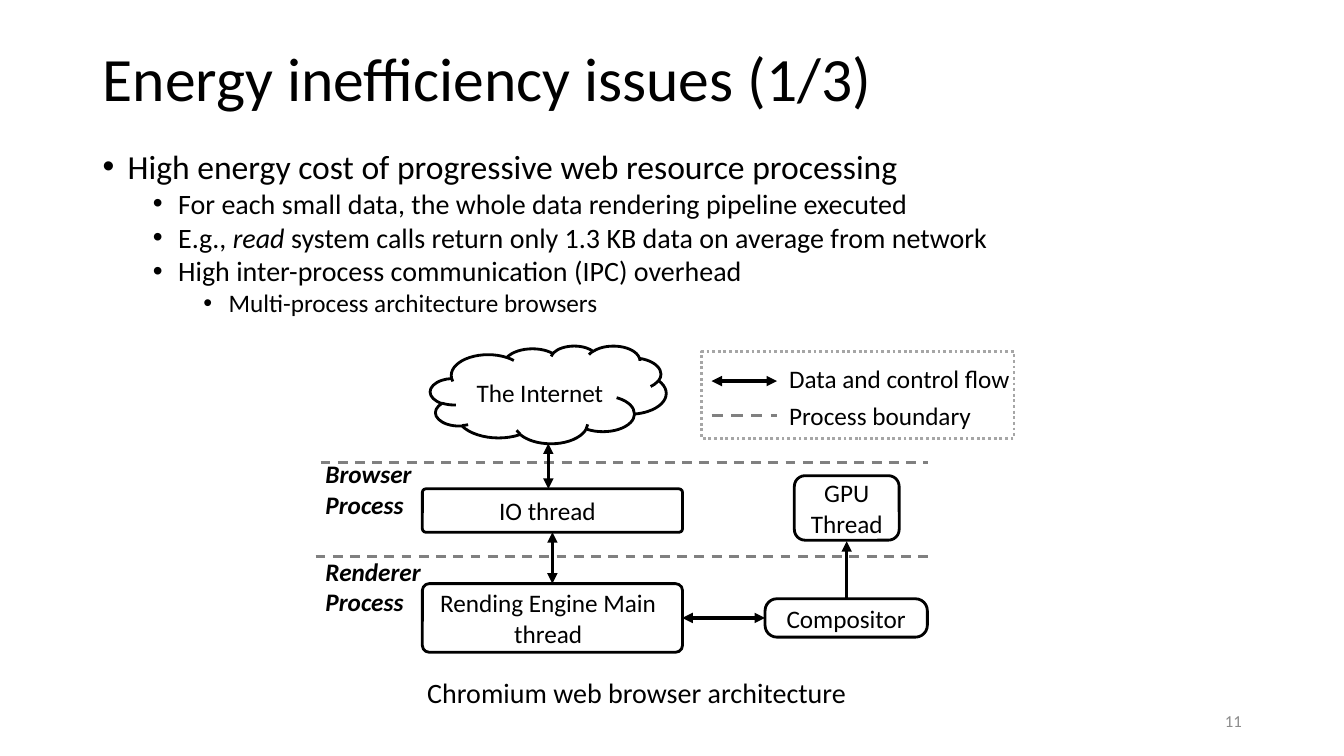
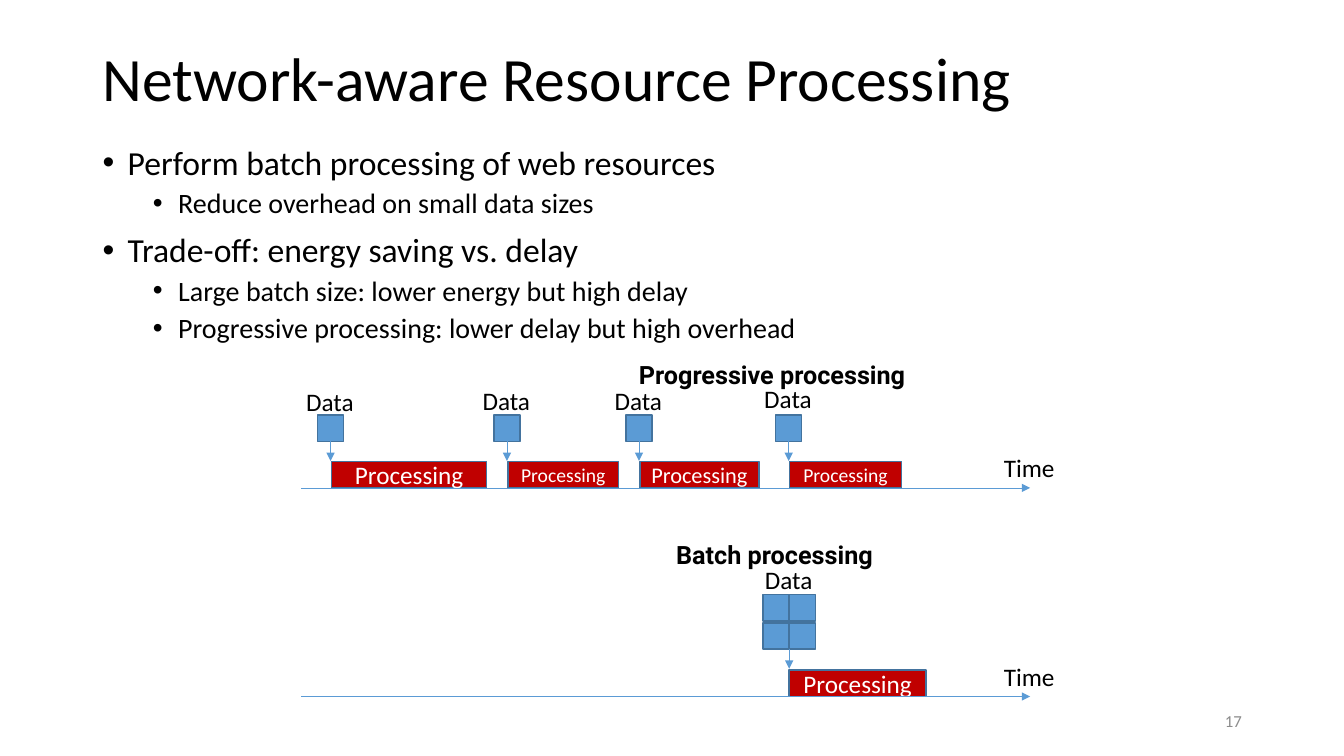
from dataclasses import dataclass
from itertools import product

from lxml import etree
from pptx import Presentation
from pptx.dml.color import RGBColor
from pptx.enum.dml import MSO_LINE
from pptx.enum.shapes import MSO_CONNECTOR, MSO_SHAPE
from pptx.enum.text import MSO_ANCHOR, MSO_AUTO_SIZE, PP_ALIGN
from pptx.oxml.ns import qn
from pptx.slide import Slide
from pptx.util import Pt

RECTANGLE, ROUNDED, CLOUD = MSO_SHAPE.RECTANGLE, MSO_SHAPE.ROUNDED_RECTANGLE, MSO_SHAPE.CLOUD
STRAIGHT = MSO_CONNECTOR.STRAIGHT
DASH, DOTTED = MSO_LINE.DASH, MSO_LINE.ROUND_DOT
LEFT, CENTER, RIGHT = PP_ALIGN.LEFT, PP_ALIGN.CENTER, PP_ALIGN.RIGHT
TOP, MIDDLE = MSO_ANCHOR.TOP, MSO_ANCHOR.MIDDLE
NO_AUTOFIT = MSO_AUTO_SIZE.NONE

COLORS = {
    "text": "000000", "paper": "FFFFFF", "number": "8C8C8C",
    "legend": "A6A6A6", "boundary": "808080",
    "data": "5B9BD5", "edge": "43739E", "processing": "C00000",
}
BODY_FONT, LABEL_FONT = "Calibri", "Roboto"
LEVEL_SIZES = (24, 20, 18)
LEVEL_SPACING = (10, 5, 5)
SQUARE = 18.7
ROW_STEP = 20.2
BAR_HEIGHT = 18.9
ARROW_GAP = 14


@dataclass(frozen=True)
class Bullet:
    level: int
    spans: tuple[str, ...]


@dataclass(frozen=True)
class Label:
    text: str
    left: float
    top: float
    width: float
    height: float = 28.8
    size: float = 18
    font: str = BODY_FONT
    color: str = "text"
    bold: bool = False
    italic: bool = False
    align: PP_ALIGN = LEFT
    anchor: MSO_ANCHOR = TOP


@dataclass(frozen=True)
class Node:
    left: float
    top: float
    width: float
    height: float
    text: str = ""
    kind: MSO_SHAPE = RECTANGLE
    fill: str = "paper"
    line: str = "text"
    weight: float = 2
    size: float = 18
    color: str = "text"
    corner: float | None = None
    dash: MSO_LINE | None = None
    right_inset: float = 0


@dataclass(frozen=True)
class Link:
    start: tuple[float, float]
    end: tuple[float, float]
    color: str = "text"
    weight: float = 2.5
    dash: MSO_LINE | None = None
    heads: tuple[str, ...] = ("headEnd", "tailEnd")


@dataclass(frozen=True)
class Chunk:
    left: float
    label_top: float
    bar_width: float
    size: float


def color_of(name: str) -> RGBColor:
    return RGBColor.from_string(COLORS[name])


def format_runs(paragraph, size: float, color: str = "text", font: str = BODY_FONT,
                bold: bool = False, italic: bool = False) -> None:
    for span in paragraph.runs:
        span.font.name = font
        span.font.size = Pt(size)
        span.font.color.rgb = color_of(color)
        span.font.bold = bold
        span.font.italic = italic


def draw_label(page: Slide, label: Label) -> None:
    box = page.shapes.add_textbox(Pt(label.left), Pt(label.top), Pt(label.width), Pt(label.height))
    frame = box.text_frame
    frame.word_wrap = True
    frame.vertical_anchor = label.anchor
    frame.text = label.text
    for paragraph in frame.paragraphs:
        paragraph.alignment = label.align
        format_runs(paragraph, label.size, label.color, label.font, label.bold, label.italic)


def draw_node(page: Slide, node: Node) -> None:
    shape = page.shapes.add_shape(node.kind, Pt(node.left), Pt(node.top), Pt(node.width), Pt(node.height))
    shape.shadow.inherit = False
    if node.corner is not None:
        shape.adjustments[0] = node.corner
    shape.fill.solid()
    shape.fill.fore_color.rgb = color_of(node.fill)
    shape.line.color.rgb = color_of(node.line)
    shape.line.width = Pt(node.weight)
    if node.dash is not None:
        shape.line.dash_style = node.dash
    if node.text:
        frame = shape.text_frame
        frame.margin_left = frame.margin_top = frame.margin_bottom = 0
        frame.margin_right = Pt(node.right_inset)
        frame.word_wrap = True
        frame.vertical_anchor = MIDDLE
        frame.text = node.text
        frame.paragraphs[0].alignment = CENTER
        format_runs(frame.paragraphs[0], node.size, node.color)


def draw_link(page: Slide, link: Link) -> None:
    connector = page.shapes.add_connector(STRAIGHT, *map(Pt, link.start + link.end))
    connector.line.color.rgb = color_of(link.color)
    connector.line.width = Pt(link.weight)
    if link.dash is not None:
        connector.line.dash_style = link.dash
    properties = connector._element.spPr
    outline = properties.find(qn("a:ln"))
    for head in link.heads:
        etree.SubElement(outline, qn(f"a:{head}"), type="triangle")
    etree.SubElement(properties, qn("a:effectLst"))


def draw_bullets(page: Slide, bullets: list[Bullet], spaced: bool) -> None:
    box = page.shapes.add_textbox(Pt(66.2), Pt(100.8), Pt(828), Pt(385.2))
    frame = box.text_frame
    frame.word_wrap = True
    for index, bullet in enumerate(bullets):
        paragraph = frame.add_paragraph() if index else frame.paragraphs[0]
        paragraph.level = bullet.level
        if spaced:
            paragraph.line_spacing = 0.9
            paragraph.space_before = Pt(LEVEL_SPACING[bullet.level] if index else 0)
        properties = paragraph._p.get_or_add_pPr()
        properties.set("marL", str(Pt(18 + 36 * bullet.level)))
        properties.set("indent", str(Pt(-18)))
        etree.SubElement(properties, qn("a:buFont"), typeface="Arial")
        etree.SubElement(properties, qn("a:buChar"), char="•")
        for text in bullet.spans:
            paragraph.add_run().text = text
        format_runs(paragraph, LEVEL_SIZES[bullet.level])
        for span in paragraph.runs[1::2]:
            span.font.italic = True


def add_page(deck, title: str, number: int, bullets: list[Bullet], spaced: bool) -> Slide:
    page = deck.slides.add_slide(deck.slide_layouts[5])
    heading = page.shapes.title
    heading.left, heading.top, heading.width, heading.height = map(Pt, (66.2, 23.8, 828, 69.1))
    frame = heading.text_frame
    frame.text = title
    frame.word_wrap = True
    frame.auto_size = NO_AUTOFIT
    frame.vertical_anchor = MIDDLE
    paragraph = frame.paragraphs[0]
    paragraph.alignment = LEFT
    paragraph.line_spacing = 0.9
    format_runs(paragraph, 44)
    draw_bullets(page, bullets, spaced)
    draw_label(page, Label(str(number), 678.2, 500.4, 216, size=12, color="number",
                           align=RIGHT, anchor=MIDDLE))
    return page


def build_architecture(deck) -> None:
    page = add_page(deck, "Energy inefficiency issues (1/3)", 11, [
        Bullet(0, ("High energy cost of progressive web resource processing",)),
        Bullet(1, ("For each small data, the whole data rendering pipeline executed",)),
        Bullet(1, ("E.g., ", "read", " system calls return only 1.3 KB data on average from network")),
        Bullet(1, ("High inter-process communication (IPC) overhead",)),
        Bullet(2, ("Multi-process architecture browsers",)),
    ], spaced=False)
    nodes = [
        Node(501.1, 251.3, 223.2, 61.9, line="legend", dash=DOTTED),
        Node(307.4, 247, 168.5, 69.8, "The Internet", CLOUD),
        Node(301.7, 349.2, 185.8, 31, "IO thread", ROUNDED, corner=0.08, right_inset=7),
        Node(301.7, 416.9, 185.8, 49, "Rending Engine Main thread", ROUNDED, corner=0.1, right_inset=6),
        Node(546.5, 427.7, 115.9, 27.4, "Compositor", ROUNDED, corner=0.31),
        Node(567.4, 339.8, 74.9, 46.1, "GPU Thread", ROUNDED),
    ]
    links = [
        Link((229, 330.5), (663.1, 330.5), "boundary", 1.75, DASH, ()),
        Link((225.4, 397.4), (663.1, 397.4), "boundary", 1.75, DASH, ()),
        Link((508.3, 296.6), (555.1, 296.6), "boundary", 2, DASH, ()),
        Link((555.1, 272.2), (508.3, 272.2)),
        Link((391.7, 349.2), (391.7, 316.8)),
        Link((394.6, 416.9), (394.6, 380.2)),
        Link((487.4, 441.4), (546.5, 441.4)),
        Link((604.8, 427.7), (604.8, 386.6), heads=("tailEnd",)),
    ]
    labels = [
        Label("Browser\nProcess", 225.4, 324, 90, 51, bold=True, italic=True),
        Label("Renderer\nProcess", 225.4, 394, 90, 51, bold=True, italic=True),
        Label("Data and control flow", 556.6, 256.3, 190),
        Label("Process boundary", 556.6, 282.2, 160),
        Label("Chromium web browser architecture", 298.1, 478.8, 330, 31.7, 20),
    ]
    for node in nodes:
        draw_node(page, node)
    for link in links:
        draw_link(page, link)
    for label in labels:
        draw_label(page, label)


def draw_square(page: Slide, left: float, top: float) -> None:
    draw_node(page, Node(left, top, SQUARE, SQUARE, fill="data", line="edge", weight=1))


def draw_arrow(page: Slide, start: tuple[float, float], end: tuple[float, float]) -> None:
    draw_link(page, Link(start, end, "data", 0.5, heads=("tailEnd",)))


def draw_processing(page: Slide, left: float, axis: float, width: float, size: float) -> None:
    draw_node(page, Node(left, axis - BAR_HEIGHT, width, BAR_HEIGHT, "Processing", fill="processing",
                         line="edge", weight=1, size=size, color="paper"))


def draw_timeline(page: Slide, axis: float, heading: Label) -> None:
    draw_arrow(page, (215.3, axis), (735.8, axis))
    draw_label(page, Label("Time", 709.9, axis - 29, 62))
    draw_label(page, heading)


def build_batching(deck) -> None:
    page = add_page(deck, "Network-aware Resource Processing", 17, [
        Bullet(0, ("Perform batch processing of web resources",)),
        Bullet(1, ("Reduce overhead on small data sizes",)),
        Bullet(0, ("Trade-off: energy saving vs. delay",)),
        Bullet(1, ("Large batch size: lower energy but high delay",)),
        Bullet(1, ("Progressive processing: lower delay but high overhead",)),
    ], spaced=True)

    axis, top = 348.5, 296.6
    chunks = [
        Chunk(226.8, 272.2, 110.9, 18),
        Chunk(352.8, 271.4, 79.2, 14),
        Chunk(447.1, 271.4, 85, 16),
        Chunk(554, 270, 79.9, 14),
    ]
    for chunk in chunks:
        middle = chunk.left + SQUARE / 2
        draw_square(page, chunk.left, top)
        draw_processing(page, chunk.left + 10, axis, chunk.bar_width, chunk.size)
        draw_arrow(page, (middle, top + SQUARE), (middle, top + SQUARE + ARROW_GAP))
        draw_label(page, Label("Data", chunk.left - 15.2, chunk.label_top, 60))
    draw_timeline(page, axis, Label("Progressive processing", 449.3, 253.4, 235,
                                    font=LABEL_FONT, bold=True))

    axis, left, top = 497.5, 545, 424.8
    middle, bottom = left + SQUARE, top + ROW_STEP + SQUARE
    for row, column in product(range(2), repeat=2):
        draw_square(page, left + column * SQUARE, top + row * ROW_STEP)
    draw_processing(page, middle, axis, 97.9, 18)
    draw_arrow(page, (middle, bottom), (middle, bottom + ARROW_GAP))
    draw_label(page, Label("Data", 539.3, 399.6, 60))
    draw_timeline(page, axis, Label("Batch processing", 475.9, 381.6, 180,
                                    font=LABEL_FONT, bold=True))


def main() -> None:
    deck = Presentation()
    deck.slide_width, deck.slide_height = Pt(960), Pt(540)
    build_architecture(deck)
    build_batching(deck)
    deck.save("out.pptx")


if __name__ == "__main__":
    main()
